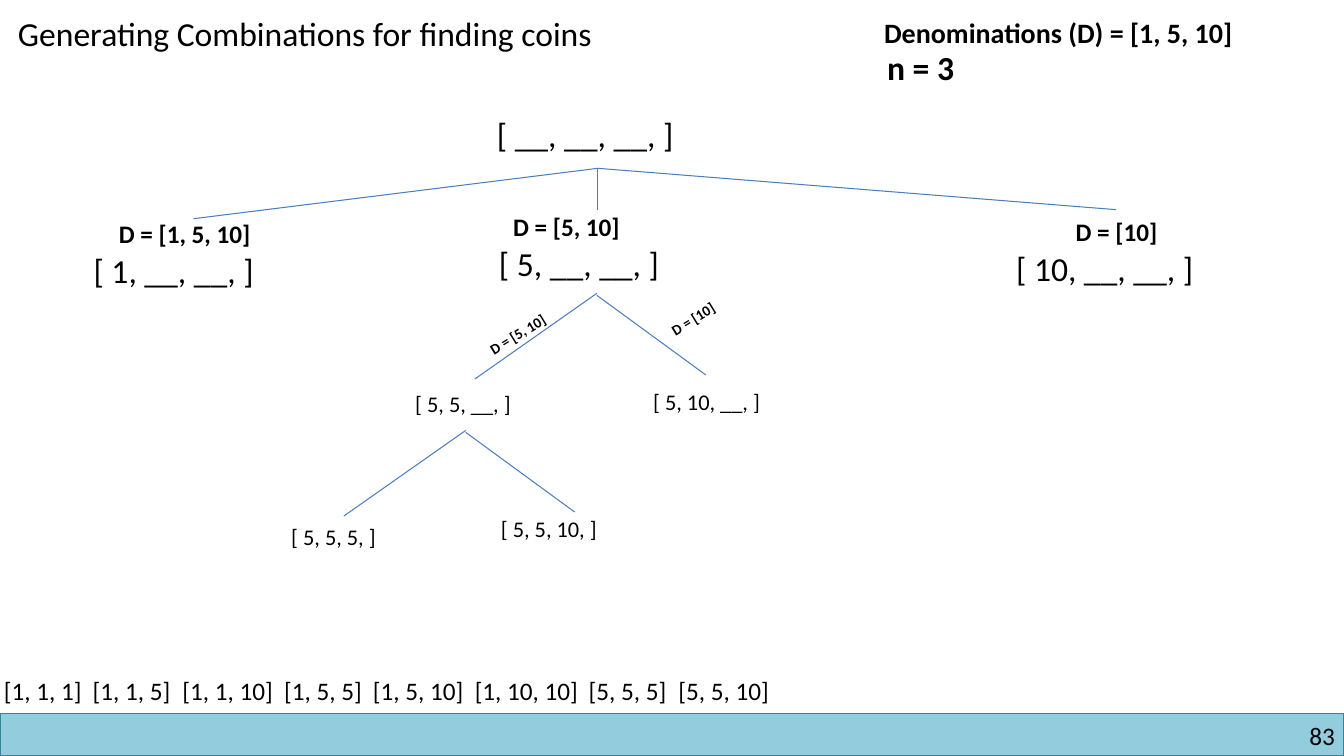
from dataclasses import dataclass

from lxml.etree import SubElement
from pptx import Presentation
from pptx.dml.color import RGBColor
from pptx.enum.shapes import MSO_CONNECTOR as Connector, MSO_SHAPE as Shape
from pptx.enum.text import PP_ALIGN as Align
from pptx.oxml.ns import qn
from pptx.util import Inches, Pt


@dataclass(frozen=True)
class Theme:
    """Colours, font and type sizes of the slide."""
    font: str = "Calibri"
    ink: RGBColor = RGBColor(0x00, 0x00, 0x00)
    branch: RGBColor = RGBColor(0x4B, 0x7E, 0xBC)
    band: RGBColor = RGBColor(0x93, 0xCD, 0xDD)
    band_edge: RGBColor = RGBColor(0x31, 0x85, 0x9C)
    title: float = 24
    givens: float = 20
    body: float = 18
    leaf: float = 16
    edge: float = 10.5


THEME = Theme()
WIDTH, HEIGHT = 13.33, 7.5
LABEL_WIDTH = 6.71


def add_text(slide, box, words, size, bold=False, align=Align.LEFT, inset=True, stops=()):
    """Place one paragraph of runs in a box, with tab stops in inches."""
    holder = slide.shapes.add_textbox(*map(Inches, box))
    frame = holder.text_frame
    frame.word_wrap = True
    if not inset:
        frame.margin_left = frame.margin_right = frame.margin_top = frame.margin_bottom = 0
    paragraph = frame.paragraphs[0]
    paragraph.alignment = align
    if stops:
        tabs = SubElement(paragraph._p.get_or_add_pPr(), qn("a:tabLst"))
        for stop in stops:
            SubElement(tabs, qn("a:tab"), pos=str(Inches(stop)), algn="l")
    for word in words:
        run = paragraph.add_run()
        run.text = word
        run.font.name = THEME.font
        run.font.size = Pt(size)
        run.font.bold = bold
        run.font.color.rgb = THEME.ink
    return holder


def add_branch(slide, start, end):
    """Draw a tree branch between two points."""
    branch = slide.shapes.add_connector(Connector.STRAIGHT, *map(Inches, (*start, *end)))
    branch.line.color.rgb = THEME.branch
    branch.line.width = Pt(0.75)
    SubElement(branch._element.spPr, qn("a:effectLst"))


def add_heading(slide, left, top):
    """Write the title and the given values."""
    add_text(slide, (left, top, 6.48, 0.5),
             ["Generating Combinations for finding coins"], THEME.title)
    add_text(slide, (left + 8.59, top + 0.02, 4.13, 0.44),
             ["Denominations (D) = [1, 5, 10]"], THEME.givens, bold=True)
    add_text(slide, (left + 8.62, top + 0.34, 0.98, 0.5), ["n = 3"], THEME.title, bold=True)


def add_first_level(slide, left, top):
    """Draw the root and its three children with their remaining coins."""
    add_text(slide, (left + 4, top, 2.16, 0.5), ["[ __, __, __, ]"], THEME.title)
    children = [
        (0, 1.35, 1.98, "[ 1, __, __, ]", 0.25, "D = [1, 5, 10]", (1.09, 1.09)),
        (4.02, 1.28, 1.98, "[ 5, __, __, ]", 0.14, "D = [5, 10]", (5.1, 1)),
        (9.15, 1.33, 2.16, "[ 10, __, __, ]", 0.59, "D = [10]", (10.24, 1)),
    ]
    for x, y, width, node, shift, coins, (end_x, end_y) in children:
        label_left = left + x + shift
        label_width = min(LABEL_WIDTH, WIDTH - label_left)
        add_branch(slide, (left + 5.1, top + 0.59), (left + end_x, top + end_y))
        add_text(slide, (left + x, top + y, width, 0.5), [node], THEME.title)
        add_text(slide, (label_left, top + y - 0.31, label_width, 0.4),
                 [coins], THEME.body, bold=True)


def add_fork(slide, left, top, children):
    """Draw two branches from an apex, with a node under each."""
    ends = ((0, 0), (-1.21, 0.85)), ((0, 0.02), (1.08, 0.81))
    for (start, end), (x, y, width, node) in zip(ends, children):
        add_branch(slide, (left + start[0], top + start[1]), (left + end[0], top + end[1]))
        add_text(slide, (left + x, top + y, width, 0.37), [node], THEME.leaf)


def add_edge_labels(slide, left, top):
    """Write the remaining coins along the second-level branches."""
    for x, y, coins in ((0, 0.19, "D = [5, 10]"), (1.8, 0, "D = [10]")):
        label = add_text(slide, (left + x, top + y, LABEL_WIDTH, 0.29),
                         [coins], THEME.edge, bold=True)
        label.rotation = 328.6


def add_results(slide, left, top):
    """List the combinations found, one per tab stop."""
    found = ["[1, 1, 1]", "[1, 1, 5]", "[1, 1, 10]", "[1, 5, 5]",
             "[1, 5, 10]", "[1, 10, 10]", "[5, 5, 5]", "[5, 5, 10]"]
    stops = (0.88, 1.77, 2.78, 3.66, 4.67, 5.8, 6.69)
    words = found[:1] + ["\t" + combination for combination in found[1:]]
    add_text(slide, (left, top, 8.55, 0.4), words, THEME.body, stops=stops)


def add_footer(slide, left, top, width, height):
    """Draw the footer band with the slide number."""
    band = slide.shapes.add_shape(Shape.RECTANGLE, *map(Inches, (left, top, width, height)))
    band.shadow.inherit = False
    band.fill.solid()
    band.fill.fore_color.rgb = THEME.band
    band.line.color.rgb = THEME.band_edge
    band.line.width = Pt(1)
    add_text(slide, (left + width - 3.16, top + 0.07, 3.07, 0.3), ["83"],
             THEME.body, align=Align.RIGHT, inset=False)


def main():
    """Build the slide and save it."""
    deck = Presentation()
    deck.slide_width, deck.slide_height = Inches(WIDTH), Inches(HEIGHT)
    slide = deck.slides.add_slide(deck.slide_layouts[6])
    add_footer(slide, 0, 7.08, WIDTH, 0.42)
    add_heading(slide, 0.08, 0.08)
    add_first_level(slide, 0.83, 1.08)
    add_fork(slide, 5.92, 2.91, [(-1.9, 0.91, 1.27, "[ 5, 5, __, ]"),
                                 (0.46, 0.89, 1.39, "[ 5, 10, __, ]")])
    add_edge_labels(slide, 4.3, 1.45)
    add_fork(slide, 4.62, 4.27, [(-1.83, 0.87, 1.14, "[ 5, 5, 5, ]"),
                                 (0.25, 0.79, 1.27, "[ 5, 5, 10, ]")])
    add_results(slide, -0.06, 6.65)
    deck.save("out.pptx")


if __name__ == "__main__":
    main()
